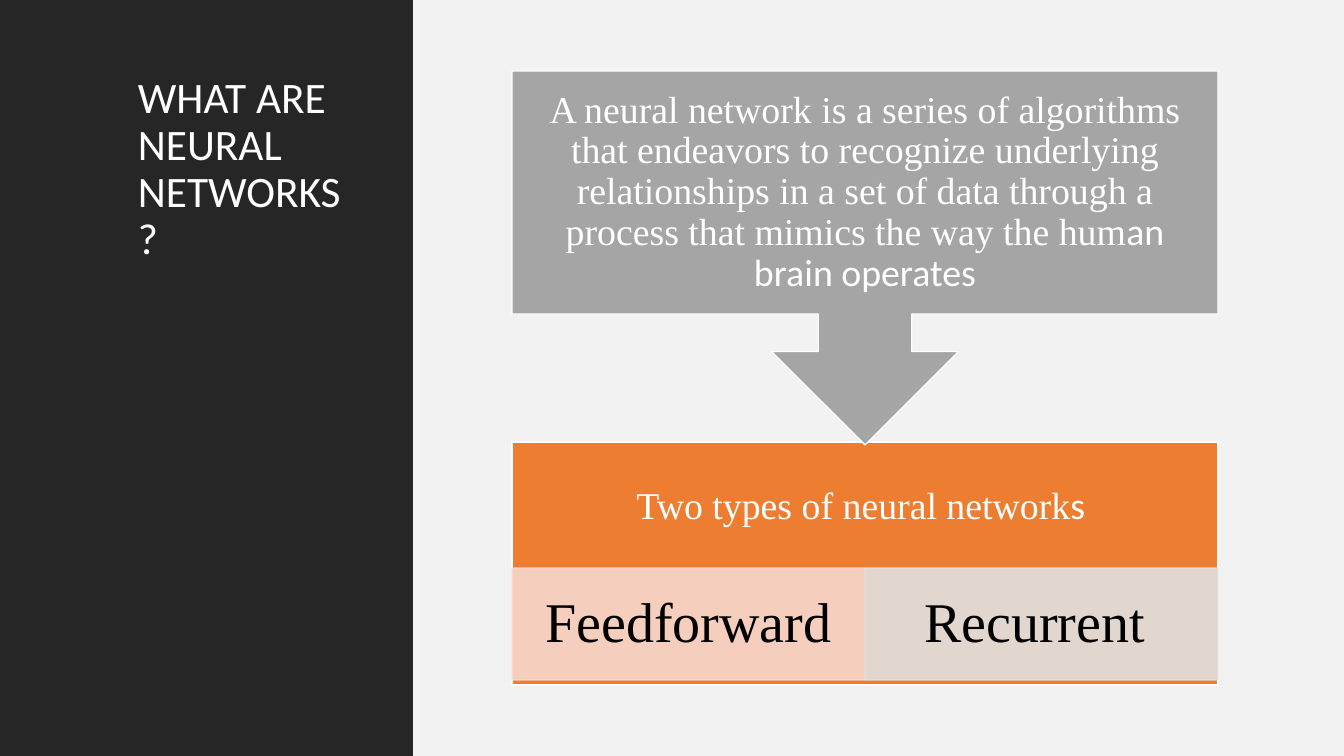
"""Build the slide that explains neural networks and their two types."""
from lxml.etree import SubElement
from pptx import Presentation
from pptx.dml.color import RGBColor as RGB
from pptx.enum.shapes import MSO_SHAPE as Shape
from pptx.enum.text import MSO_ANCHOR as Anchor, PP_ALIGN as Align
from pptx.oxml.ns import qn
from pptx.util import Inches, Pt

WHITE = RGB(0xFF, 0xFF, 0xFF)
BLACK = RGB(0x00, 0x00, 0x00)
PALE = RGB(0xF2, 0xF2, 0xF2)
DARK = RGB(0x26, 0x26, 0x26)
GRAY = RGB(0xA5, 0xA5, 0xA5)
ORANGE = RGB(0xED, 0x7D, 0x31)
PEACH = RGB(0xF8, 0xD7, 0xCE)
SILVER = RGB(0xE1, 0xE1, 0xE1)

SERIF, SANS = "Times New Roman", "Calibri"
TITLE = [("WHAT ARE NEURAL NETWORKS?", SANS)]
MEANING = [
    ("A neural network is a series of algorithms that endeavors to recognize "
     "underlying relationships in a set of data through a process that mimics "
     "the way the hum", SERIF),
    ("an brain operates", SANS),
]
HEADING = [("Two types of neural network", SERIF), ("s ", SANS)]
KINDS = [("Feedforward", PEACH), ("Recurrent ", SILVER)]

WIDE, HIGH, SPLIT = 1344, 756, 413
LEFT, SPAN = 512, 706
SCALE = Inches(7.5) / HIGH


def emu(*sizes):
    """Turn px lengths into EMU."""
    return [round(size * SCALE) for size in sizes]


def block(slide, kind, box, fill, line=None, alpha=None):
    """Add a filled shape, outlined if a line colour is given."""
    item = slide.shapes.add_shape(kind, *emu(*box))
    item.shadow.inherit = False
    item.fill.solid()
    item.fill.fore_color.rgb = fill
    if line is None:
        item.line.fill.background()
    else:
        item.line.color.rgb = line
        item.line.width = Pt(1)
    if alpha:
        for tint in item._element.spPr.iter(qn("a:srgbClr")):
            SubElement(tint, qn("a:alpha"), val=str(alpha * 1000))
    return item


def write(item, runs, size, color, pad, align=Align.CENTER, anchor=Anchor.MIDDLE):
    """Fill a shape with one paragraph of runs."""
    frame = item.text_frame
    frame.word_wrap = True
    frame.vertical_anchor = anchor
    side, end = emu(*pad)
    frame.margin_left = frame.margin_right = side
    frame.margin_top = frame.margin_bottom = end
    para = frame.paragraphs[0]
    para.alignment = align
    para.line_spacing = 0.9
    for text, face in runs:
        run = para.add_run()
        run.text = text
        run.font.name = face
        run.font.size = Pt(size)
        run.font.color.rgb = color


def label(slide, box, *args):
    """Add a text box."""
    write(slide.shapes.add_textbox(*emu(*box)), *args)


def main():
    """Draw and save the slide."""
    deck = Presentation()
    deck.slide_width, deck.slide_height = emu(WIDE, HIGH)
    slide = deck.slides.add_slide(deck.slide_layouts[6])

    block(slide, Shape.RECTANGLE, (SPLIT, 0, WIDE - SPLIT, HIGH), PALE)
    block(slide, Shape.RECTANGLE, (0, 0, SPLIT, HIGH), DARK)
    label(slide, (128, 71, 242, 615), TITLE, 31, WHITE, (10, 5),
          Align.LEFT, Anchor.TOP)

    block(slide, Shape.RECTANGLE, (LEFT, 442, SPAN, 243), ORANGE, WHITE)
    label(slide, (LEFT, 442, SPAN, 131), HEADING, 27, WHITE, (21, 21))

    cell = SPAN // len(KINDS)
    for col, (name, tint) in enumerate(KINDS):
        box = LEFT + col * cell, 568, cell, 112
        item = block(slide, Shape.RECTANGLE, box, tint, tint, 90)
        write(item, [(name, SERIF)], 40, BLACK, (31, 6))

    arrow = block(slide, Shape.UP_ARROW_CALLOUT, (LEFT, 71, SPAN, 374), GRAY, WHITE)
    arrow.rotation = 180
    label(slide, (LEFT, 71, SPAN, 243), MEANING, 27, WHITE, (21, 21))

    deck.save("out.pptx")


if __name__ == "__main__":
    main()
